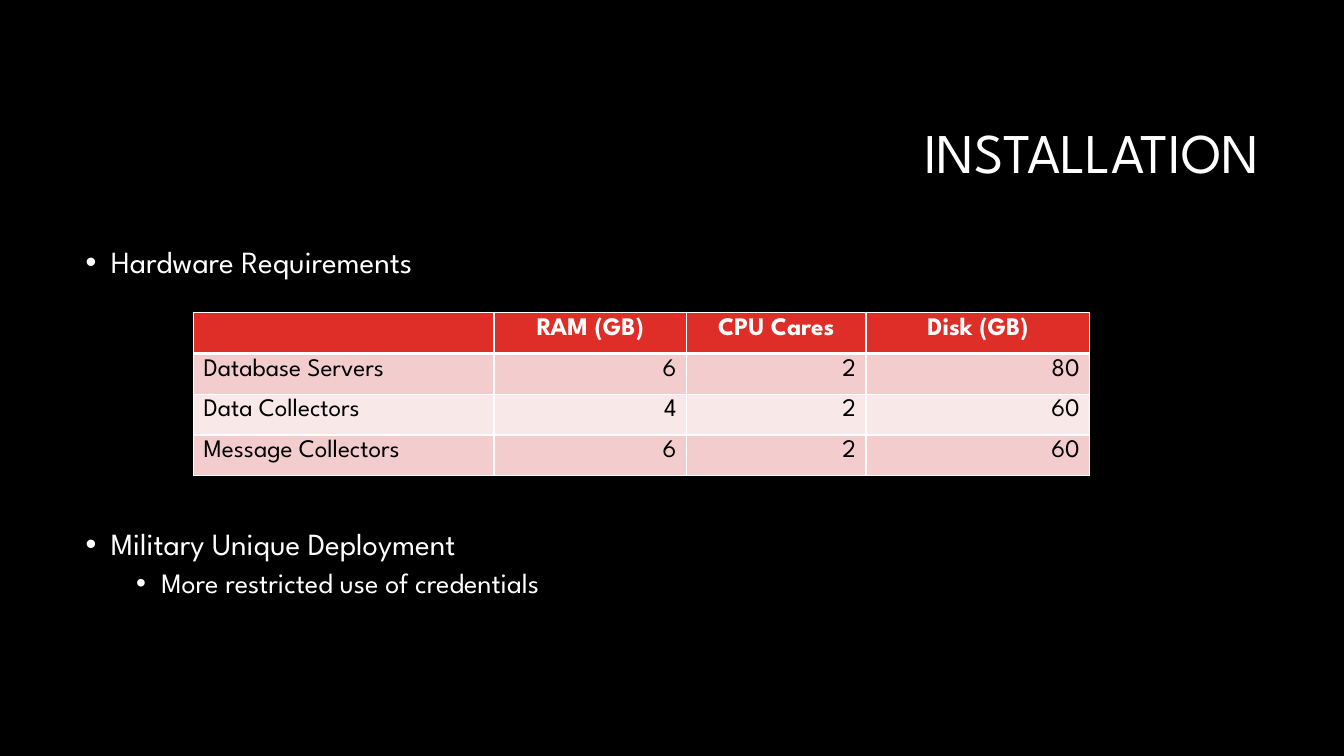
from pptx import Presentation
from pptx.dml.color import RGBColor
from pptx.enum.text import MSO_ANCHOR, MSO_AUTO_SIZE, PP_ALIGN
from pptx.oxml.xmlchemy import OxmlElement
from pptx.util import Inches, Pt

FONT = "League Spartan"
BLACK = RGBColor(0x00, 0x00, 0x00)
WHITE = RGBColor(0xFF, 0xFF, 0xFF)
RED = RGBColor(0xDF, 0x2E, 0x28)
ROSE = RGBColor(0xF3, 0xCD, 0xCD)
PALE_ROSE = RGBColor(0xF9, 0xE8, 0xE8)

BULLETS = [
    ("Hardware Requirements", 0, 22, 10),
    ("Military Unique Deployment", 0, 22, 178),
    ("More restricted use of credentials", 1, 20, 5),
]
COLUMN_WIDTHS = [2.98, 1.91, 1.78, 2.22]
HARDWARE = [
    ("", "RAM (GB)", "CPU Cares", "Disk (GB)"),
    ("Database Servers", "6", "2", "80"),
    ("Data Collectors", "4", "2", "60"),
    ("Message Collectors", "6", "2", "60"),
]


def place(shape, box):
    """Move a shape to a box of left, top, width and height in inches."""
    shape.left, shape.top, shape.width, shape.height = map(Inches, box)


def format_runs(paragraph, size, color, bold=False):
    """Apply the slide font to every run of a paragraph."""
    for run in paragraph.runs:
        run.font.name = FONT
        run.font.size = Pt(size)
        run.font.bold = bold
        run.font.color.rgb = color


def add_bullet(paragraph, level):
    """Give a paragraph a round bullet with a hanging indent."""
    properties = paragraph._p.get_or_add_pPr()
    properties.set("marL", str(Inches(0.25 + 0.5 * level)))
    properties.set("indent", str(Inches(-0.25)))
    for tag, name, value in (("a:buFont", "typeface", "Arial"), ("a:buChar", "char", "•")):
        element = OxmlElement(tag)
        element.set(name, value)
        properties.append(element)


def set_borders(cell, bottom_width):
    """Draw white borders around a table cell."""
    properties = cell._tc.get_or_add_tcPr()
    for tag, width in (("a:lnL", 1), ("a:lnR", 1), ("a:lnT", 1), ("a:lnB", bottom_width)):
        line = OxmlElement(tag)
        line.set("w", str(Pt(width)))
        fill = OxmlElement("a:solidFill")
        color = OxmlElement("a:srgbClr")
        color.set("val", str(WHITE))
        fill.append(color)
        line.append(fill)
        properties.append(line)


def fill_title(title, box):
    """Write the right-aligned title in its placeholder."""
    place(title, box)
    text_frame = title.text_frame
    text_frame.text = "INSTALLATION"
    text_frame.auto_size = MSO_AUTO_SIZE.NONE
    text_frame.vertical_anchor = MSO_ANCHOR.MIDDLE
    paragraph = text_frame.paragraphs[0]
    paragraph.alignment = PP_ALIGN.RIGHT
    paragraph.line_spacing = 0.9
    format_runs(paragraph, 40, WHITE)


def fill_body(body, box):
    """Write the bullets, leaving room for the table after the first."""
    place(body, box)
    text_frame = body.text_frame
    text_frame.text = "\n".join(bullet[0] for bullet in BULLETS)
    text_frame.auto_size = MSO_AUTO_SIZE.NONE
    for paragraph, (_, level, size, space) in zip(text_frame.paragraphs, BULLETS):
        paragraph.level = level
        paragraph.line_spacing = 0.9
        paragraph.space_before = Pt(space)
        add_bullet(paragraph, level)
        format_runs(paragraph, size, WHITE)


def add_hardware_table(slide, box):
    """Add the table of hardware requirements with banded rows."""
    frame = slide.shapes.add_table(len(HARDWARE), len(COLUMN_WIDTHS), *map(Inches, box))
    table = frame.table
    for column, width in zip(table.columns, COLUMN_WIDTHS):
        column.width = Inches(width)
    for row_index, values in enumerate(HARDWARE):
        header = row_index == 0
        band = RED if header else (PALE_ROSE, ROSE)[row_index % 2]
        for column_index, value in enumerate(values):
            cell = table.cell(row_index, column_index)
            set_borders(cell, 3 if header else 1)
            cell.fill.solid()
            cell.fill.fore_color.rgb = band
            cell.text_frame.text = value
            paragraph = cell.text_frame.paragraphs[0]
            if header:
                paragraph.alignment = PP_ALIGN.CENTER
            elif column_index > 0:
                paragraph.alignment = PP_ALIGN.RIGHT
            format_runs(paragraph, 18, WHITE if header else BLACK, header)


def build_installation_slide(presentation):
    """Build the installation slide on a black background."""
    slide = presentation.slides.add_slide(presentation.slide_layouts[1])
    slide.background.fill.solid()
    slide.background.fill.fore_color.rgb = BLACK
    fill_title(slide.shapes.title, (3.17, 0.84, 9.42, 1.41))
    fill_body(slide.placeholders[1], (0.75, 2.4, 11.83, 4.4))
    add_hardware_table(slide, (1.92, 3.1, 8.89, 1.62))


def main():
    """Create and save the presentation."""
    presentation = Presentation()
    presentation.slide_width = Inches(13.33)
    presentation.slide_height = Inches(7.5)
    build_installation_slide(presentation)
    presentation.save("out.pptx")


if __name__ == "__main__":
    main()
